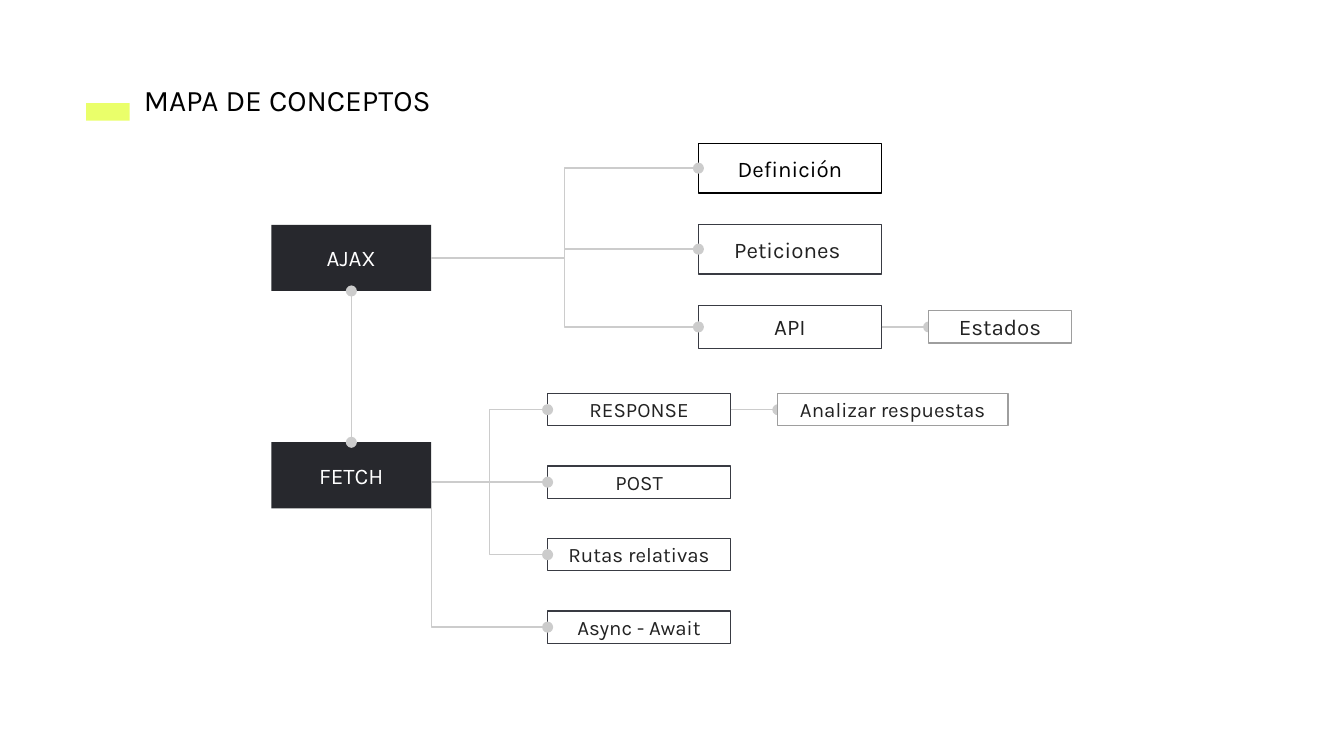
from lxml import etree
from pptx import Presentation
from pptx.dml.color import RGBColor
from pptx.enum.shapes import MSO_CONNECTOR, MSO_SHAPE
from pptx.enum.text import MSO_ANCHOR, MSO_AUTO_SIZE, PP_ALIGN
from pptx.oxml.ns import qn
from pptx.util import Cm, Pt

RECTANGLE = MSO_SHAPE.RECTANGLE
STRAIGHT = MSO_CONNECTOR.STRAIGHT
ELBOW = MSO_CONNECTOR.ELBOW
MIDDLE = MSO_ANCHOR.MIDDLE
CENTER = PP_ALIGN.CENTER
GROW = MSO_AUTO_SIZE.SHAPE_TO_FIT_TEXT

COLORS = {
    "accent": "EAFF6A",
    "dark": "27282D",
    "border": "393B43",
    "detail": "9E9E9E",
    "link": "CCCCCC",
    "text": "222222",
    "black": "000000",
    "white": "FFFFFF",
}
FONT = "Karla"
INSET = Cm(0.25)
ROOT_SIZE = (3.02, 1.25)
TOPIC_WIDTH = 3.46
DETAIL_HEIGHT = 0.61
DETAIL_GAP = 0.89


def color(name):
    return RGBColor.from_string(COLORS[name])


def write(shape, text, size, ink, **para_format):
    frame = shape.text_frame
    frame_format = {"word_wrap": True, "margin_left": INSET, "margin_right": INSET,
                    "margin_top": INSET, "margin_bottom": INSET}
    for name, value in frame_format.items():
        setattr(frame, name, value)
    para = frame.paragraphs[0]
    for name, value in para_format.items():
        setattr(para, name, value)
    span = para.add_run()
    span.text = text
    for name, value in {"name": FONT, "size": Pt(size)}.items():
        setattr(span.font, name, value)
    span.font.color.rgb = color(ink)


def add_box(page, box, text="", size=12, fill="white", border="border", ink="text"):
    shape = page.shapes.add_shape(RECTANGLE, *map(Cm, box))
    shape.shadow.inherit = False
    if fill:
        shape.fill.solid()
        shape.fill.fore_color.rgb = color(fill)
    else:
        shape.fill.background()
    if border:
        shape.line.color.rgb = color(border)
        shape.line.width = Pt(0.75)
    else:
        shape.line.fill.background()
    if text:
        write(shape, text, size, ink, alignment=CENTER)
        shape.text_frame.vertical_anchor = MIDDLE


def add_link(page, start, end, kind=ELBOW, dots=("tailEnd",)):
    link = page.shapes.add_connector(kind, *map(Cm, start + end))
    link.line.color.rgb = color("link")
    link.line.width = Pt(0.75)
    outline = link.line._get_or_add_ln()
    for dot in dots:
        etree.SubElement(outline, qn("a:" + dot), type="oval")
    etree.SubElement(link._element.spPr, qn("a:effectLst"))
    return link


def add_corner_link(page, start, end):
    width, height = end[0] - start[0], end[1] - start[1]
    center_x, center_y = start[0] + width / 2, start[1] + height / 2
    link = add_link(page, (center_x + height / 2, center_y - width / 2),
                    (center_x - height / 2, center_y + width / 2))
    properties = link._element.spPr
    properties.find(qn("a:prstGeom")).set("prst", "bentConnector2")
    properties.find(qn("a:xfrm")).set("rot", str(270 * 60000))


def add_heading(page, left, top):
    add_box(page, (left, top + 0.65, 0.82, 0.33), fill="accent", border=None)
    title = page.shapes.add_textbox(Cm(left + 0.84), Cm(top), Cm(6.83), Cm(1.19))
    write(title, "MAPA DE CONCEPTOS", 16, "black")
    title.text_frame.auto_size = GROW


def add_root(page, left, top, text):
    add_box(page, (left, top, *ROOT_SIZE), text, fill="dark", border=None, ink="white")


def add_detail(page, start, width, text, size):
    left, middle = start[0] + DETAIL_GAP, start[1]
    add_link(page, start, (left, middle), STRAIGHT)
    add_box(page, (left, middle - DETAIL_HEIGHT / 2, width, DETAIL_HEIGHT),
            text, size, border="detail")


def add_ajax_topics(page, left, top, start):
    topics = [
        ("Definición", 0.94, {"border": "black", "ink": "black"}),
        ("Peticiones ", 0.94, {"fill": None}),
        ("API", 0.82, {"fill": None}),
    ]
    for index, (text, height, style) in enumerate(topics):
        row_top = top + index * 1.53
        middle = row_top + height / 2
        add_box(page, (left, row_top, TOPIC_WIDTH, height), text, **style)
        add_link(page, start, (left, middle))
    add_detail(page, (left + TOPIC_WIDTH, middle), 2.7, "Estados", 12)


def add_fetch_topics(page, left, top, start_x):
    pitch = 1.37
    first = top + DETAIL_HEIGHT / 2
    start = (start_x, first + pitch)
    for index, text in enumerate(["RESPONSE", "POST", "Rutas relativas", "Async - Await"]):
        add_box(page, (left, top + index * pitch, TOPIC_WIDTH, DETAIL_HEIGHT), text, 11)
        connect = add_corner_link if text == "Async - Await" else add_link
        connect(page, start, (left, first + index * pitch))
    add_detail(page, (left + TOPIC_WIDTH, first), 4.35, "Analizar respuestas", 11)


def main():
    deck = Presentation()
    deck.slide_width, deck.slide_height = Cm(25.4), Cm(14.29)
    page = deck.slides.add_slide(deck.slide_layouts[6])

    left, ajax_top, fetch_top = 5.13, 4.25, 8.36
    width, height = ROOT_SIZE
    add_heading(page, 1.63, 1.3)
    add_root(page, left, ajax_top, "AJAX")
    add_root(page, left, fetch_top, "FETCH")
    add_link(page, (left + width / 2, fetch_top), (left + width / 2, ajax_top + height),
             STRAIGHT, ("headEnd", "tailEnd"))
    add_ajax_topics(page, 13.2, 2.71, (left + width, ajax_top + height / 2))
    add_fetch_topics(page, 10.35, 7.44, left + width)
    deck.save("out.pptx")


if __name__ == "__main__":
    main()
